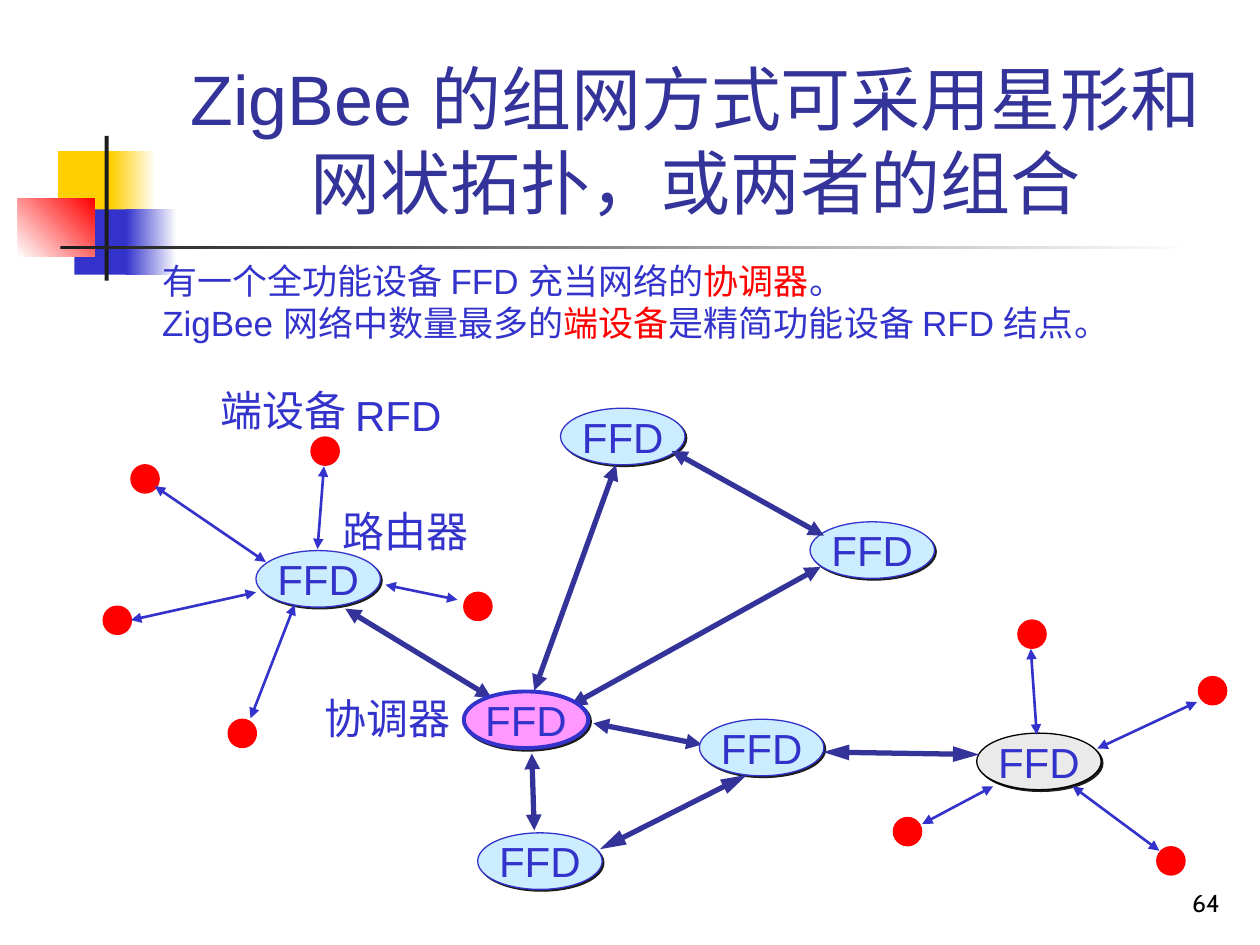
"""Build the slide on ZigBee star and mesh topologies."""
from lxml import etree
from pptx import Presentation
from pptx import util as u
from pptx.dml.color import RGBColor
from pptx.enum import shapes, text
from pptx.oxml import ns

COLORS = {"navy": "333399", "blue": "3333CC", "red": "FF0000", "yellow": "FFCF01",
          "dark": "1C1C1C", "white": "FFFFFF", "black": "000000",
          "sky": "CCECFF", "grey": "EAEAEA", "pink": "FF99FF"}

DECOR = [((1.17, 3.05, 1.22, 1.32), ["yellow"], 0),
         ((2.24, 3.05, 0.91, 1.32), ["yellow", "white"], 0),
         ((1.5, 4.22, 1.17, 1.32), ["blue"], 0),
         ((2.54, 4.22, 1.02, 1.32), ["blue", "white"], 0),
         ((0.36, 4.01, 1.55, 1.17), ["white", "red"], 45),
         ((2.11, 2.74, 0.08, 2.92), ["dark"], 0),
         ((1.22, 4.95, 22.86, 0.08), ["dark", "white"], 0)]

TITLE = [[("ZigBee 的组网方式可采用星形和网状拓扑，或两者的组合", "Arial", "navy")]]
BODY = [[("有一个全功能设备 FFD 充当", "Arial", "blue"), ("网络的", "Cabin", "blue"),
         ("协调器", "Cabin", "red"), ("。", "Cabin", "blue")],
        [("ZigBee 网络中数量最多的", "Arial", "blue"), ("端设备", "Arial", "red"),
         ("是精简功能设备 RFD 结点。", "Arial", "blue")]]
NUMBER = [[("64", "Cabin", "black")]]
LABELS = [("RFD", 6.91, 7.72, 2.24), ("端设备", 4.19, 7.62, 3.05),
          ("路由器", 6.65, 10.06, 3.05), ("协调器", 6.3, 13.84, 3.05)]

DOT, NODE = (0.57, 0.57), (2.51, 1.14)
END_DEVICES = [(6.27, 8.81), (23.32, 17.07), (18.01, 16.48), (24.16, 13.64), (20.52, 12.5),
               (2.64, 9.37), (2.08, 12.22), (4.6, 14.5), (9.35, 11.94)]
ROUTERS = [(5.16, 11.1, "sky", "blue"), (9.63, 16.79, "sky", "blue"),
           (16.33, 10.52, "sky", "blue"), (11.3, 8.23, "sky", "blue"),
           (19.69, 14.78, "grey", "black")]
HUB_ROUTER = (14.1, 14.5, "sky", "blue")
COORDINATOR = (9.35, 13.94, "pink", "blue", 2.25)

MESH_LINKS = [(12.42, 9.37, 10.77, 13.92), (6.96, 12.27, 9.91, 14.07),
              (13.54, 9.09, 16.61, 10.8), (16.54, 11.43, 11.51, 14.22),
              (10.72, 15.19, 10.77, 16.74), (14.15, 15.01, 11.96, 14.58)]
STAR_LINKS = [(3.12, 9.8, 5.36, 11.33), (7.77, 11.79, 9.22, 12.09), (6.53, 9.4, 6.4, 11.07),
              (2.64, 12.5, 5.16, 11.94), (24.13, 14.15, 22.12, 15.09),
              (20.78, 13.08, 20.9, 14.81), (5.94, 12.19, 5.05, 14.48),
              (21.62, 15.85, 23.37, 17.15), (20.02, 15.85, 18.59, 16.61)]
HUB_LINKS = [(19.74, 15.21, 16.59, 15.16), (15.06, 15.62, 12.09, 17.12)]

prs = Presentation()
prs.slide_width, prs.slide_height = u.Cm(25.4), u.Cm(19.05)
s = prs.slides.add_slide(prs.slide_layouts[6])


def rgb(name):
    return RGBColor.from_string(COLORS[name])


def cm(values):
    return [u.Cm(v) for v in values]


def write(tf, paragraphs, size, align):
    for i, runs in enumerate(paragraphs):
        p = tf.add_paragraph() if i else tf.paragraphs[0]
        p.alignment = align
        for words, font, color in runs:
            r = p.add_run()
            r.text = words
            r.font.name, r.font.size = font, u.Pt(size)
            r.font.color.rgb = rgb(color)


def add_text(box, paragraphs, size, align=text.PP_ALIGN.LEFT,
             anchor=text.MSO_ANCHOR.TOP, wrap=False):
    tf = s.shapes.add_textbox(*cm(box)).text_frame
    tf.word_wrap, tf.vertical_anchor = wrap, anchor
    if not wrap:
        tf.auto_size = text.MSO_AUTO_SIZE.SHAPE_TO_FIT_TEXT
    write(tf, paragraphs, size, align)


def add_shape(kind, box, fill, line=None, width=0.75, angle=0):
    sp = s.shapes.add_shape(kind, *cm(box))
    sp.shadow.inherit = False
    if len(fill) == 1:
        sp.fill.solid()
        sp.fill.fore_color.rgb = rgb(fill[0])
    else:
        sp.fill.gradient()
        sp.fill.gradient_angle = angle
        for stop, color in zip(sp.fill.gradient_stops, fill):
            stop.color.rgb = rgb(color)
    if line:
        sp.line.color.rgb, sp.line.width = rgb(line), u.Pt(width)
    else:
        sp.line.fill.background()
    return sp


def add_node(left, top, fill, line, width=0.75):
    sp = add_shape(shapes.MSO_SHAPE.OVAL, (left, top, *NODE), [fill], line, width)
    effects = sp.element.spPr.find(ns.qn("a:effectLst"))
    shadow = etree.SubElement(effects, ns.qn("a:outerShdw"), blurRad="0",
                              dist=str(u.Pt(1.4)), dir="2700000", algn="ctr", rotWithShape="0")
    etree.SubElement(shadow, ns.qn("a:srgbClr"), val=COLORS["dark"])
    tf = sp.text_frame
    tf.word_wrap, tf.vertical_anchor = False, text.MSO_ANCHOR.MIDDLE
    write(tf, [[("FFD", "Arial", "blue")]], 24, text.PP_ALIGN.CENTER)


def add_link(ends, color, width, length="med"):
    c = s.shapes.add_connector(shapes.MSO_CONNECTOR.STRAIGHT, *cm(ends))
    c.line.color.rgb, c.line.width = rgb(color), u.Pt(width)
    ln = c.line._get_or_add_ln()
    for tag in ("a:headEnd", "a:tailEnd"):
        etree.SubElement(ln, ns.qn(tag), type="triangle", w="med", len=length)
    etree.SubElement(c.element.spPr, ns.qn("a:effectLst"))


for box, fill, angle in DECOR:
    add_shape(shapes.MSO_SHAPE.RECTANGLE, box, fill, angle=angle)
add_text((3.2, 0.58, 21.64, 4.06), TITLE, 40, text.PP_ALIGN.CENTER,
         text.MSO_ANCHOR.BOTTOM, True)
for corner in END_DEVICES:
    add_shape(shapes.MSO_SHAPE.OVAL, (*corner, *DOT), ["red"], "red")
for router in ROUTERS:
    add_node(*router)
for ends in MESH_LINKS:
    add_link(ends, "navy", 3)
for ends in STAR_LINKS:
    add_link(ends, "blue", 1.5)
add_node(*HUB_ROUTER)
for ends in HUB_LINKS:
    add_link(ends, "navy", 3, "lg")
add_node(*COORDINATOR)
for words, left, top, width in LABELS:
    add_text((left, top, width, 1.27), [[(words, "Arial", "blue")]], 24)
add_text((3.02, 5.11, 20.27, 1.96), BODY, 20)
add_text((19.56, 17.35, 5.28, 1.27), NUMBER, 14, text.PP_ALIGN.RIGHT,
         text.MSO_ANCHOR.BOTTOM, True)
prs.save("out.pptx")
